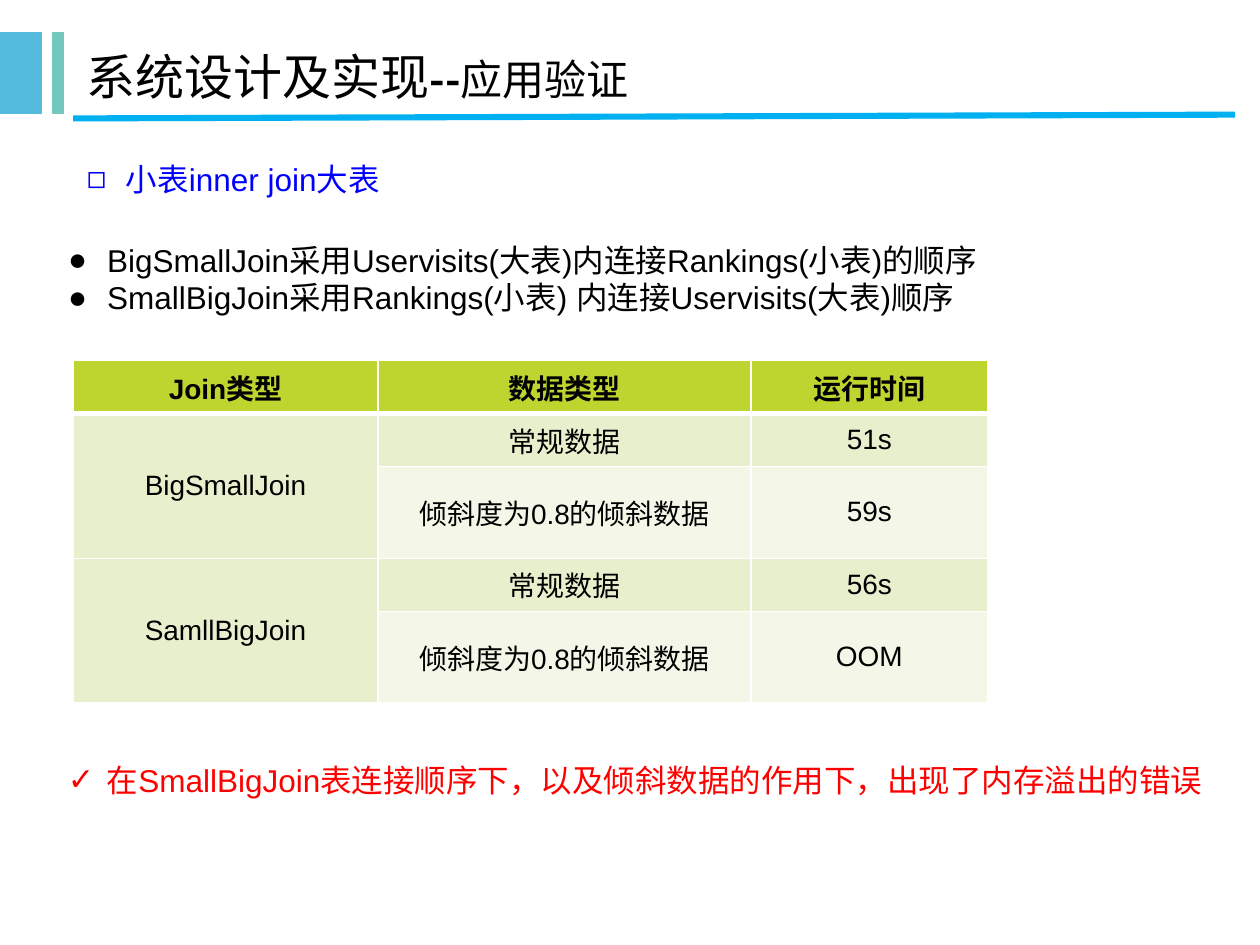
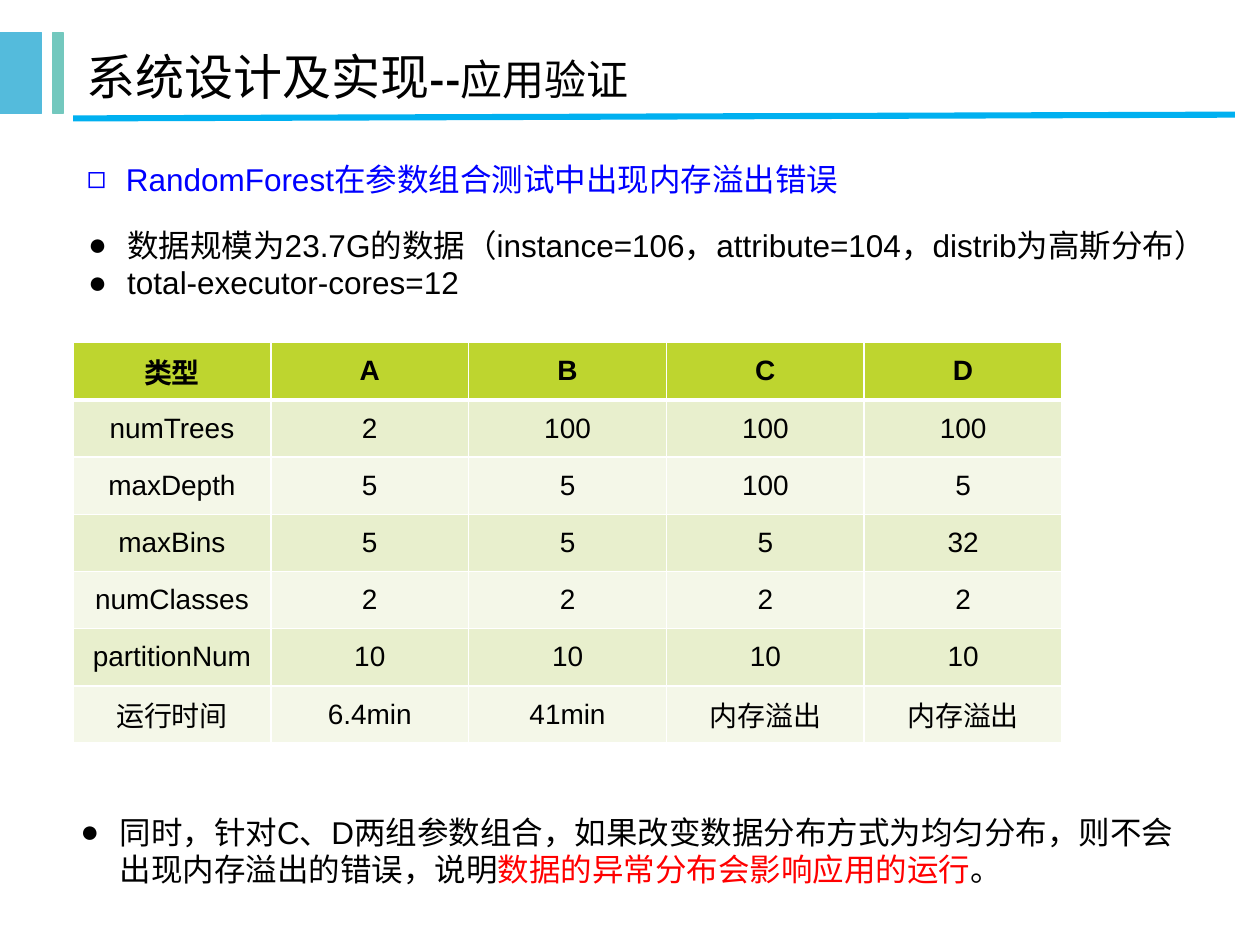
from lxml.etree import SubElement
from pptx import Presentation
from pptx.dml.color import RGBColor as Rgb
from pptx.enum.shapes import MSO_CONNECTOR as Link, MSO_SHAPE as Kind
from pptx.enum.text import MSO_ANCHOR as Anchor, MSO_AUTO_SIZE as Fit, PP_ALIGN as Align
from pptx.oxml.ns import qn
from pptx.util import Inches, Pt

COLS, ROWS = 100, 75  # grid of the slide
UNIT = Inches(10) / COLS
INDENT = 3.1
EAST = "Noto Sans CJK SC"
HUES = {
    "ink": "000000", "blue": "0000FF", "red": "FF0000", "white": "FFFFFF",
    "sky": "54BBDC", "teal": "73C8BE", "rule": "00B0F0",
    "head": "BED52F", "odd": "E8EFCD", "even": "F4F7E8",
}
TITLE = [
    ("系统设计及实现", {"size": Pt(28), "name": EAST}),
    ("--", {"size": Pt(24), "name": EAST, "bold": True}),
    ("应用验证", {"size": Pt(24), "name": EAST}),
]


def grid(*spots):
    return [round(spot * UNIT) for spot in spots]


def hue(name):
    return Rgb.from_string(HUES[name])


def place(shape, box):
    shape.left, shape.top, shape.width, shape.height = grid(*box)


def write(para, text, color="ink", **look):
    run = para.add_run()
    run.text = text
    look = {"size": Pt(18), "name": "Arial", "bold": False} | look
    for key, value in look.items():
        setattr(run.font, key, value)
    run.font.color.rgb = hue(color)
    SubElement(run.font._element, qn("a:ea"), typeface=EAST)


def mark(para, sign):
    """Give a paragraph a hanging bullet."""
    props = para._p.get_or_add_pPr()
    left, = grid(INDENT)
    props.set("marL", str(left))
    props.set("indent", str(-left))
    SubElement(props, qn("a:buFont"), typeface="Arial")
    SubElement(props, qn("a:buChar"), char=sign)


def fill_list(shape, box, sign, items):
    """Fill a shape with bulleted items, each a list of (text, colour)."""
    place(shape, box)
    frame = shape.text_frame
    frame.word_wrap = True
    frame.auto_size = Fit.NONE
    for num, item in enumerate(items):
        para = frame.add_paragraph() if num else frame.paragraphs[0]
        mark(para, sign)
        para.space_before = Pt(0)
        for text, color in item:
            write(para, text, color)


def add_note(slide, box, sign, text, color):
    shape = slide.shapes.add_textbox(0, 0, 0, 0)
    fill_list(shape, box, sign, [[(text, color)]])
    return shape


def add_band(slide, left, width, color):
    band = slide.shapes.add_shape(Kind.RECTANGLE, *grid(left, 2.6, width, 6.4))
    band.shadow.inherit = False
    band.fill.solid()
    band.fill.fore_color.rgb = band.line.color.rgb = hue(color)
    band.line.width = Pt(0.75)


def add_rule(slide):
    rule = slide.shapes.add_connector(Link.STRAIGHT, *grid(5.8, 9.4, 98, 9.1))
    rule.line.color.rgb = hue("rule")
    rule.line.width = Pt(3.5)
    SubElement(rule._element.spPr, qn("a:effectLst"))


def add_page(deck, topic):
    """Add a slide with the shared title, bands, rule and a topic line."""
    slide = deck.slides.add_slide(deck.slide_layouts[1])
    add_band(slide, 0, 3.3, "sky")
    add_band(slide, 4.2, 0.8, "teal")
    title = slide.shapes.title
    place(title, (5.9, 2.6, 89.1, 6.9))
    title.text_frame.vertical_anchor = Anchor.MIDDLE
    title.text_frame.auto_size = Fit.NONE
    para = title.text_frame.paragraphs[0]
    para.alignment = Align.LEFT
    for text, look in TITLE:
        write(para, text, **look)
    add_rule(slide)
    add_note(slide, (5.9, 12.2, 75.2, 4), "◻", topic, "blue")
    return slide


def edge(cell, row):
    """Draw white borders, thick below the head row."""
    props = cell._tc.get_or_add_tcPr()
    thick = {(0, "B"), (1, "T")}
    for side in "LRTB":
        width = Pt(3 if (row, side) in thick else 1)
        line = SubElement(props, qn(f"a:ln{side}"), w=str(width))
        fill = SubElement(line, qn("a:solidFill"))
        SubElement(fill, qn("a:srgbClr"), val=HUES["white"])


def add_grid(slide, top, widths, heights, data, merges=()):
    """Add a striped table; merges lists (first row, last row) of column 0."""
    size = grid(5.8, top, sum(widths), sum(heights))
    table = slide.shapes.add_table(len(heights), len(widths), *size).table
    for parts, key, sizes in ((table.columns, "width", widths),
                              (table.rows, "height", heights)):
        for part, value in zip(parts, grid(*sizes)):
            setattr(part, key, value)
    for row, texts in enumerate(data):
        shade = "head" if row == 0 else "odd" if row % 2 else "even"
        for col, text in enumerate(texts):
            cell = table.cell(row, col)
            edge(cell, row)
            cell.fill.solid()
            cell.fill.fore_color.rgb = hue(shade)
            cell.vertical_anchor = Anchor.MIDDLE
            if text:
                para = cell.text_frame.paragraphs[0]
                para.alignment = Align.CENTER
                write(para, text, size=Pt(16), bold=row == 0)
    for first, last in merges:
        table.cell(first, 0).merge(table.cell(last, 0))


def join_page(deck):
    slide = add_page(deck, "小表inner join大表")
    fill_list(slide.placeholders[1], (4.4, 18.6, 86.2, 10), "●", [
        [("BigSmallJoin采用Uservisits(大表)内连接Rankings(小表)的顺序", "ink")],
        [("SmallBigJoin采用Rankings(小表) 内连接Uservisits(大表)顺序", "ink")],
    ])
    skew = "倾斜度为0.8的倾斜数据"
    add_grid(slide, 28.6, [24.2, 29.6, 18.8], [4.2] + [4.2, 7.3] * 2, [
        ["Join类型", "数据类型", "运行时间"],
        ["BigSmallJoin", "常规数据", "51s"],
        ["", skew, "59s"],
        ["SamllBigJoin", "常规数据", "56s"],
        ["", skew, "OOM"],
    ], merges=[(1, 2), (3, 4)])
    add_note(slide, (4.4, 59.9, 94.9, 4), "✓",
             "在SmallBigJoin表连接顺序下，以及倾斜数据的作用下，出现了内存溢出的错误", "red")


def forest_page(deck):
    slide = add_page(deck, "RandomForest在参数组合测试中出现内存溢出错误")
    fill_list(slide.placeholders[1], (6, 17.4, 92.1, 10), "●", [
        [("数据规模为23.7G的数据（instance=106，attribute=104，distrib为高斯分布）", "ink")],
        [("total-executor-cores=12", "ink")],
    ])
    add_grid(slide, 27.2, [15.7] * 5, [4.54] * 7, [
        ["类型", "A", "B", "C", "D"],
        ["numTrees", "2", "100", "100", "100"],
        ["maxDepth", "5", "5", "100", "5"],
        ["maxBins", "5", "5", "5", "32"],
        ["numClasses"] + ["2"] * 4,
        ["partitionNum"] + ["10"] * 4,
        ["运行时间", "6.4min", "41min", "内存溢出", "内存溢出"],
    ])
    note = add_note(slide, (5.4, 64, 89.1, 7), "●",
                    "同时，针对C、D两组参数组合，如果改变数据分布方式为均匀分布，"
                    "则不会出现内存溢出的错误，说明", "ink")
    para = note.text_frame.paragraphs[0]
    write(para, "数据的异常分布会影响应用的运行", "red")
    write(para, "。")


def main():
    deck = Presentation()
    deck.slide_width, deck.slide_height = grid(COLS, ROWS)
    join_page(deck)
    forest_page(deck)
    deck.save("out.pptx")


if __name__ == "__main__":
    main()
